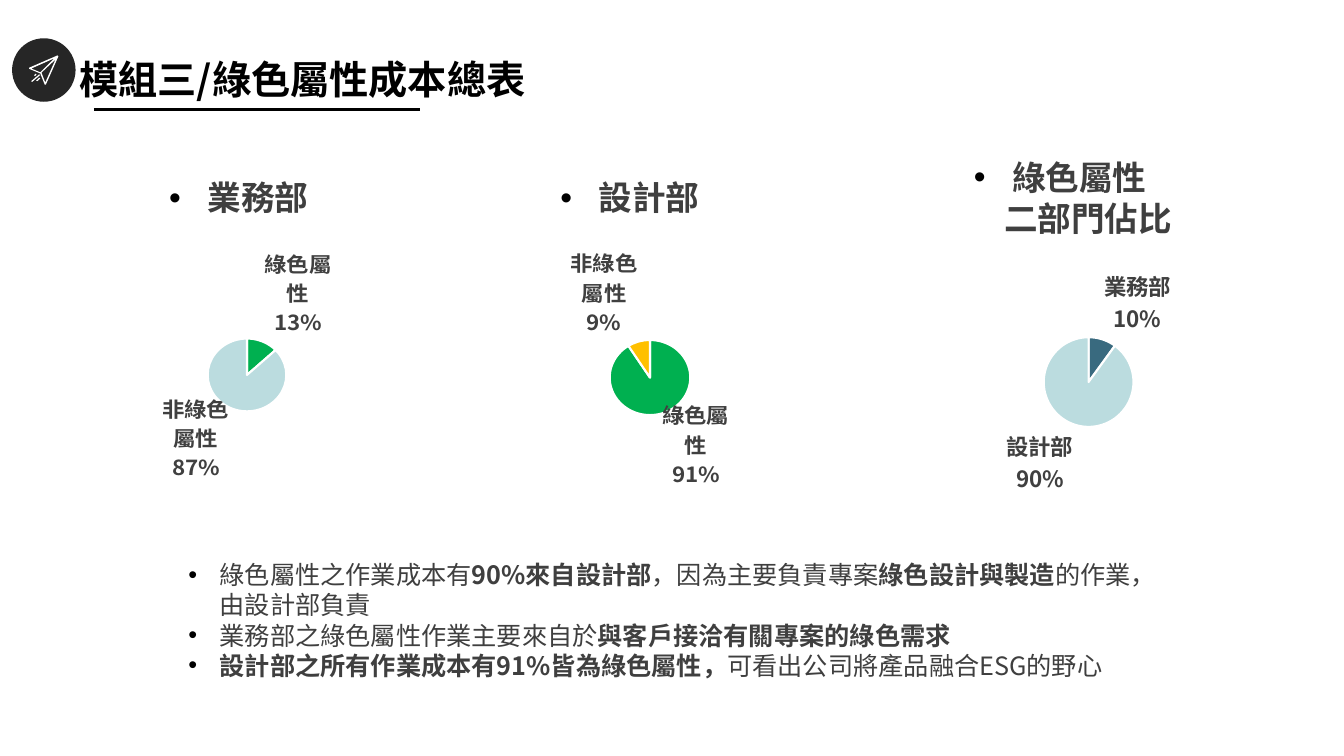
from lxml import etree
from pptx import Presentation
from pptx import util as u
from pptx.chart.data import CategoryChartData
from pptx.dml.color import RGBColor
from pptx.enum import chart as ch, shapes, text
from pptx.oxml import ns, parse_xml

WIDTH, HEIGHT = 13.33, 7.5
BLACK = RGBColor(0x00, 0x00, 0x00)
WHITE = RGBColor(0xFF, 0xFF, 0xFF)
BADGE = RGBColor(0x26, 0x26, 0x26)
BODY = RGBColor(0x3F, 0x3F, 0x3F)
LABEL = RGBColor(0x40, 0x40, 0x40)
GREEN = RGBColor(0x00, 0xB0, 0x50)
AMBER = RGBColor(0xFF, 0xC0, 0x00)
PALE = RGBColor(0xBB, 0xDC, 0xDF)
TEAL = RGBColor(0x39, 0x6A, 0x7F)
SANS, TITLE_FONT = "Noto Sans CJK SC", "Noto Sans CJK TC"

# Paper plane: body with two cut-outs, then three trails, in hundredths of its box
PLANE = [
    [(97, 0), (100, 3), (57, 100), (53, 100), (38, 62), (0, 46), (0, 42)],
    [(55, 93), (90, 14), (42, 59)],
    [(7, 45), (38, 58), (86, 10)],
    [(34, 76), (38, 79), (28, 88), (24, 87)],
    [(34, 65), (37, 68), (10, 91), (7, 88)],
    [(21, 63), (25, 65), (20, 71), (17, 68)],
]


def inches(*lengths):
    return [u.Inches(length) for length in lengths]


def add_box(page, area):
    box = page.shapes.add_textbox(*inches(*area))
    box.text_frame.word_wrap = True
    return box.text_frame


def add_span(para, words, size, color, face, bold, east_asian=True):
    span = para.add_run()
    span.text = words
    font = span.font
    font.size, font.bold, font.name = u.Pt(size), bold, face
    font.color.rgb = color
    if east_asian:
        etree.SubElement(font._element, ns.qn("a:ea"), typeface=face)


def set_indent(para, left, hanging=0):
    props = para._p.get_or_add_pPr()
    props.set("marL", str(u.Inches(left)))
    props.set("indent", str(-u.Inches(hanging)))
    return props


def add_bullet(para, indent):
    props = set_indent(para, indent, indent)
    color = etree.SubElement(props, ns.qn("a:buClr"))
    etree.SubElement(color, ns.qn("a:srgbClr"), val=str(BLACK))
    etree.SubElement(props, ns.qn("a:buFont"), typeface="Arial")
    etree.SubElement(props, ns.qn("a:buChar"), char="•")


def fill_plain(shape, color):
    shape.fill.solid()
    shape.fill.fore_color.rgb = color
    shape.line.fill.background()
    shape.shadow.inherit = False


def add_badge(page, left, top, size):
    """Dark disc with a white paper plane."""
    disc = page.shapes.add_shape(shapes.MSO_SHAPE.OVAL, *inches(left, top, size, size))
    fill_plain(disc, BADGE)
    side = size * 0.46
    x, y = left + (size - side) / 2, top + (size - side) / 2
    builder = page.shapes.build_freeform(*PLANE[0][0], scale=u.Inches(side) / 100)
    for number, outline in enumerate(PLANE):
        if number:
            builder.move_to(*outline[0])
        builder.add_line_segments(outline[1:], close=True)
    fill_plain(builder.convert_to_shape(*inches(x, y)), WHITE)


def add_header(page, left, top, width, height):
    add_badge(page, left, top + 0.17, 0.63)
    frame = add_box(page, (left + 0.57, top, width - 0.57, height))
    frame.vertical_anchor = text.MSO_ANCHOR.MIDDLE
    para = frame.paragraphs[0]
    para.line_spacing = 1.61
    add_span(para, "模組三/綠色屬性成本總表", 28, BLACK, TITLE_FONT, True)
    start, end, y = left + 0.81, left + 4.05, top + 0.88
    rule = page.shapes.add_connector(shapes.MSO_CONNECTOR.STRAIGHT,
                                     *inches(start, y, end, y))
    rule.line.color.rgb = BLACK
    rule.line.width = u.Pt(2.25)
    etree.SubElement(rule._element.spPr, ns.qn("a:effectLst"))


def add_heading(page, area, lines):
    frame = add_box(page, area)
    for number, line in enumerate(lines):
        para = frame.add_paragraph() if number else frame.paragraphs[0]
        if number:
            set_indent(para, 0.3)
        else:
            add_bullet(para, 0.38)
        add_span(para, line, 24, BODY, "Arial", True, east_asian=False)


def place_pie(chart, area, diameter, drop):
    """Centre the pie across its area, lowered by drop inches."""
    _, _, width, height = area
    shares = {"x": 0.5 - diameter / width / 2,
              "y": 0.5 + (drop - diameter / 2) / height,
              "w": diameter / width, "h": diameter / height}
    sizes = "".join(f'<c:{name} val="{share:.3f}"/>' for name, share in shares.items())
    layout = parse_xml(f'<c:layout {ns.nsdecls("c")}><c:manualLayout>'
                       '<c:layoutTarget val="inner"/><c:xMode val="edge"/>'
                       f'<c:yMode val="edge"/>{sizes}</c:manualLayout></c:layout>')
    plot_area = chart._chartSpace.chart.plotArea
    for old in plot_area.findall(ns.qn("c:layout")):
        plot_area.remove(old)
    plot_area.insert(0, layout)


def add_pie(page, area, shares, colors, diameter, drop):
    data = CategoryChartData()
    data.categories = list(shares)
    data.add_series("Series 1", list(shares.values()))
    chart = page.shapes.add_chart(ch.XL_CHART_TYPE.PIE, *inches(*area), data).chart
    chart.has_legend = chart.has_title = False
    plot = chart.plots[0]
    plot.vary_by_categories = True
    for number, color in enumerate(colors):
        wedge = plot.series[0].points[number].format
        wedge.fill.solid()
        wedge.fill.fore_color.rgb = color
        wedge.line.color.rgb = WHITE
        wedge.line.width = u.Pt(1.5)
    plot.has_data_labels = True
    labels = plot.data_labels
    labels.show_value = False
    labels.show_category_name = labels.show_percentage = True
    labels.number_format, labels.number_format_is_linked = "0%", False
    labels.position = ch.XL_LABEL_POSITION.OUTSIDE_END
    for font, color in ((chart.font, BLACK), (labels.font, LABEL)):
        font.size, font.bold, font.name = u.Pt(16), True, SANS
        font.color.rgb = color
        etree.SubElement(font._element, ns.qn("a:ea"), typeface=SANS)
    separator = etree.Element(ns.qn("c:separator"))
    separator.text = "\n"
    labels._element.find(ns.qn("c:showBubbleSize")).addnext(separator) \
        if labels._element.find(ns.qn("c:showBubbleSize")) is not None \
        else labels._element.find(ns.qn("c:showPercent")).addnext(separator)
    place_pie(chart, area, diameter, drop)


def add_findings(page, area, findings):
    frame = add_box(page, area)
    for number, spans in enumerate(findings):
        para = frame.add_paragraph() if number else frame.paragraphs[0]
        add_bullet(para, 0.31)
        for words, bold in spans:
            add_span(para, words, 18, BODY, SANS, bold)


def main():
    deck = Presentation()
    deck.slide_width, deck.slide_height = inches(WIDTH, HEIGHT)
    page = deck.slides.add_slide(deck.slide_layouts[6])
    add_header(page, 0.12, 0.21, 6.47, 0.86)

    columns = [
        ((1.58, 1.71, 2.27, 0.5), ["業務部"], (0.48, 2.35, 3.94, 2.62),
         {"綠色屬性": 13, "非綠色屬性": 87}, (GREEN, PALE), 0.78, 0.17),
        ((5.46, 1.71, 2.27, 0.5), ["設計部"], (4.39, 2.33, 4.11, 2.7),
         {"綠色屬性": 91, "非綠色屬性": 9}, (GREEN, AMBER), 0.8, 0.17),
        ((9.56, 1.51, 2.67, 0.91), ["綠色屬性", "二部門佔比"], (8.85, 2.55, 3.89, 2.48),
         {"業務部": 10, "設計部": 90}, (TEAL, PALE), 0.89, 0),
    ]
    for heading_area, lines, *pie in columns:
        add_heading(page, heading_area, lines)
        add_pie(page, *pie)

    add_findings(page, (1.77, 5.5, 9.98, 1.31), [
        [("綠色屬性之作業成本有", False), ("90%來自設計部", True),
         ("，因為主要負責專案", False), ("綠色設計與製造", True),
         ("的作業，由設計部負責", False)],
        [("業務部之綠色屬性作業主要來自於", False),
         ("與客戶接洽有關專案的綠色需求", True)],
        [("設計部之所有作業成本有91%皆為綠色屬性，", True),
         ("可看出公司將產品融合ESG的野心", False)],
    ])
    deck.save("out.pptx")


if __name__ == "__main__":
    main()
